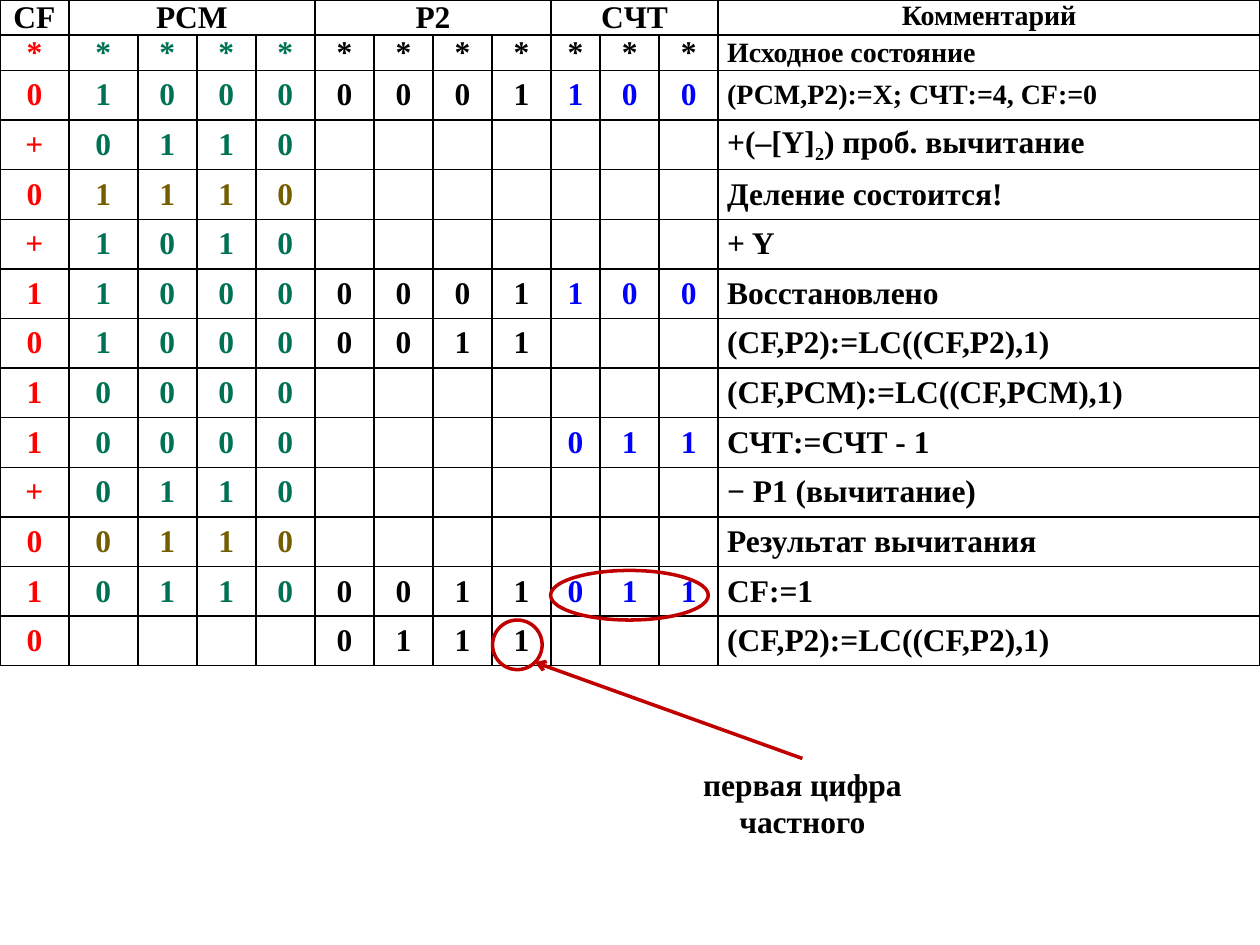
from lxml import etree
from pptx import Presentation
from pptx.dml.color import RGBColor
from pptx.enum.shapes import MSO_CONNECTOR, MSO_SHAPE
from pptx.enum.text import MSO_ANCHOR, PP_ALIGN
from pptx.oxml.ns import qn
from pptx.util import Cm, Pt

LEFT, CENTER = PP_ALIGN.LEFT, PP_ALIGN.CENTER
TOP, MIDDLE = MSO_ANCHOR.TOP, MSO_ANCHOR.MIDDLE
OVAL, STRAIGHT = MSO_SHAPE.OVAL, MSO_CONNECTOR.STRAIGHT

BLACK = RGBColor(0x00, 0x00, 0x00)
RED = RGBColor(0xFF, 0x00, 0x00)
GREEN = RGBColor(0x00, 0x72, 0x54)
BROWN = RGBColor(0x74, 0x5E, 0x00)
BLUE = RGBColor(0x00, 0x00, 0xFF)
DARK_RED = RGBColor(0xC0, 0x00, 0x00)

FONT = "Times New Roman"
COLUMN_WIDTHS = [1.39] * 2 + [1.19] * 7 + [0.99] + [1.19] * 2 + [10.92]
HEADER_HEIGHT, STEP_HEIGHT = 0.71, 1.0
COMMENT_COLUMN = 12
HEADERS = [(0, 0, "CF"), (1, 4, "PCM"), (5, 8, "P2"), (9, 11, "CЧТ"),
           (12, 12, "Комментарий")]
STEPS = [
    ("* **** **** ***", ["Исходное состояние"]),
    ("0 1000 0001 100", ["(РСМ,Р2):=Х; СЧТ:=4, CF:=0"]),
    ("+ 0110 .... ...", ["+(–[Y]", "2", ") проб. вычитание"]),
    ("0 1110 .... ...", ["Деление состоится!"]),
    ("+ 1010 .... ...", ["+ Y"]),
    ("1 1000 0001 100", ["Восстановлено"]),
    ("0 1000 0011 ...", ["(CF,P2):=LC((CF,P2),1)"]),
    ("1 0000 .... ...", ["(CF,PСМ):=LC((CF,PСМ),1)"]),
    ("1 0000 .... 011", ["СЧТ:=СЧТ - 1"]),
    ("+ 0110 .... ...", ["− Р1 (вычитание)"]),
    ("0 0110 .... ...", ["Результат вычитания"]),
    ("1 0110 0011 011", ["CF:=1"]),
    ("0 .... 0111 ...", ["(CF,P2):=LC((CF,P2),1)"]),
]
SMALL_COMMENT_ROWS = (1, 2)
TRIAL_RESULT_ROWS = (4, 11)


def format_paragraph(paragraph, color, size=18, alignment=CENTER):
    paragraph.alignment = alignment
    for run in paragraph.runs:
        run.font.name = FONT
        run.font.size = Pt(size)
        run.font.bold = True
        run.font.color.rgb = color


def style_cell(cell):
    cell.margin_left = cell.margin_right = Cm(0.18)
    cell.margin_top = cell.margin_bottom = 0
    properties = cell._tc.get_or_add_tcPr()
    for side in ("a:lnL", "a:lnR", "a:lnT", "a:lnB"):
        border = etree.SubElement(properties, qn(side), w=str(Pt(1)))
        fill = etree.SubElement(border, qn("a:solidFill"))
        etree.SubElement(fill, qn("a:srgbClr"), val=str(BLACK))
    cell.fill.background()


def fill_cell(cell, parts, color, size=18, alignment=CENTER, anchor=MIDDLE):
    cell.vertical_anchor = anchor
    paragraph = cell.text_frame.paragraphs[0]
    for part in parts:
        paragraph.add_run().text = part
    paragraph.space_after = Pt(1)
    format_paragraph(paragraph, color, size, alignment)
    for subscript in paragraph.runs[1:2]:
        subscript.font._element.set("baseline", "-25000")


def digit_color(row, column):
    if column == 0:
        return RED
    if column <= 4:
        return BROWN if row in TRIAL_RESULT_ROWS else GREEN
    return BLUE if column >= 9 and row > 1 else BLACK


def add_division_table(slide, left, top):
    heights = [HEADER_HEIGHT] * 2 + [STEP_HEIGHT] * (len(STEPS) - 1)
    frame = slide.shapes.add_table(
        len(heights), len(COLUMN_WIDTHS), Cm(left), Cm(top),
        Cm(sum(COLUMN_WIDTHS)), Cm(sum(heights)))
    table = frame.table
    table.first_row = table.horz_banding = False
    for column, width in zip(table.columns, COLUMN_WIDTHS):
        column.width = Cm(width)
    for row, height in zip(table.rows, heights):
        row.height = Cm(height)
    for cell in table.iter_cells():
        style_cell(cell)

    for first, last, title in HEADERS:
        cell = table.cell(0, first)
        if last > first:
            cell.merge(table.cell(0, last))
        size = 16 if first == COMMENT_COLUMN else 18
        fill_cell(cell, [title], BLACK, size, anchor=TOP)

    for row, (digits, comment) in enumerate(STEPS, start=1):
        for column, digit in enumerate(digits.replace(" ", "")):
            if digit != ".":
                fill_cell(table.cell(row, column), [digit], digit_color(row, column))
        size = 16 if row in SMALL_COMMENT_ROWS else 18
        fill_cell(table.cell(row, COMMENT_COLUMN), comment, BLACK, size, LEFT)


def add_ring(slide, left, top, width, height):
    ring = slide.shapes.add_shape(OVAL, Cm(left), Cm(top), Cm(width), Cm(height))
    ring.shadow.inherit = False
    ring.fill.background()
    ring.line.color.rgb = DARK_RED
    ring.line.width = Pt(2)


def add_arrow(slide, start, end):
    arrow = slide.shapes.add_connector(
        STRAIGHT, *(Cm(length) for length in (*start, *end)))
    arrow.line.color.rgb = DARK_RED
    arrow.line.width = Pt(2)
    etree.SubElement(arrow.line._get_or_add_ln(), qn("a:tailEnd"), type="arrow")
    etree.SubElement(arrow._element.spPr, qn("a:effectLst"))


def add_quotient_note(slide, left, top, width, height):
    add_ring(slide, left + 1.17, top, 3.18, 1)
    add_ring(slide, left, top + 1, 1, 1)
    note_left, note_top, note_width = left + 3.96, top + 3.79, width - 3.96
    box = slide.shapes.add_textbox(
        Cm(note_left), Cm(note_top), Cm(note_width), Cm(height - 3.79))
    box.text_frame.word_wrap = False
    box.text_frame.text = "первая цифра\nчастного"
    for paragraph in box.text_frame.paragraphs:
        format_paragraph(paragraph, BLACK)
    add_arrow(slide, (note_left + note_width / 2, note_top),
              (left + 0.85, top + 1.85))


def main():
    presentation = Presentation()
    presentation.slide_width = Cm(25.4)
    presentation.slide_height = Cm(19.05)
    slide = presentation.slides.add_slide(presentation.slide_layouts[6])
    add_division_table(slide, 0, 0)
    add_quotient_note(slide, 9.93, 11.5, 8.53, 5.59)
    presentation.save("out.pptx")


if __name__ == "__main__":
    main()
